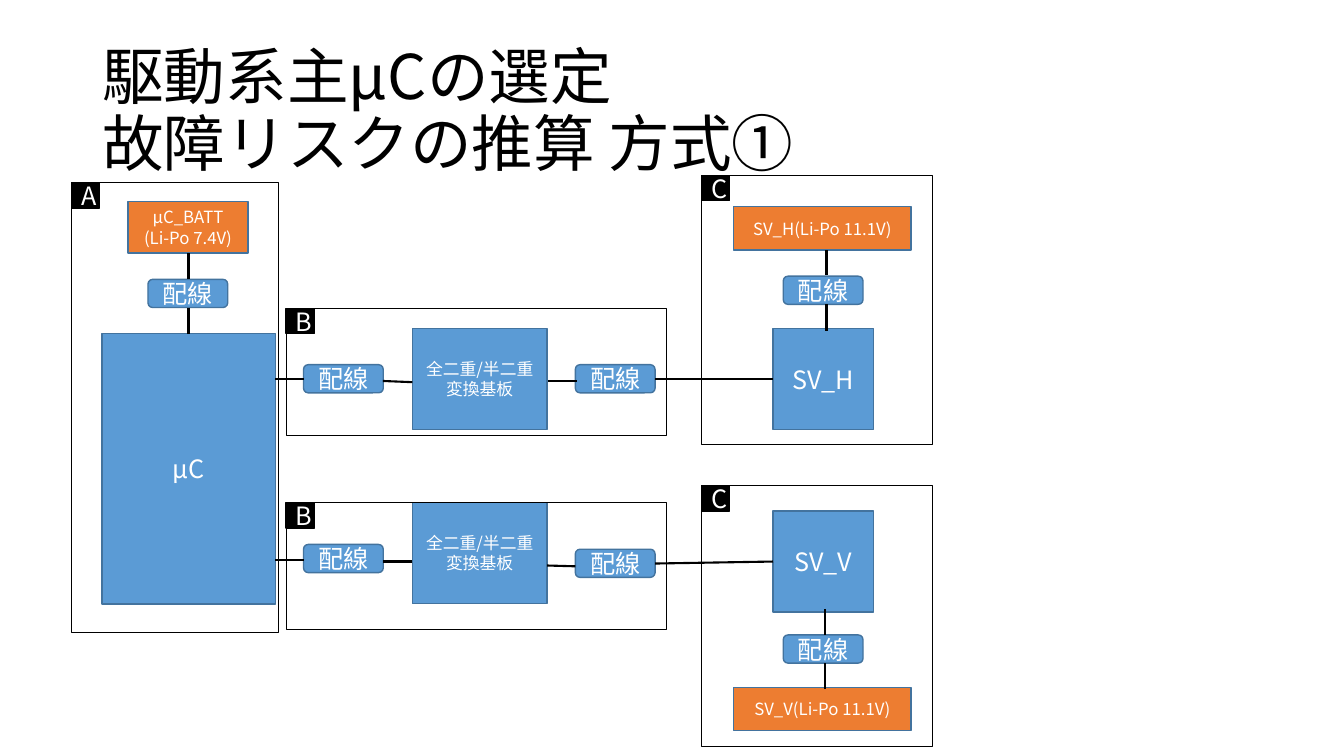
from lxml.etree import SubElement
from pptx import Presentation
from pptx.dml.color import RGBColor
from pptx.enum.shapes import MSO_CONNECTOR, MSO_SHAPE
from pptx.enum.text import MSO_ANCHOR, PP_ALIGN
from pptx.oxml.ns import qn
from pptx.util import Cm, Pt

FONT = "Noto Sans CJK JP"
BLACK = RGBColor(0x00, 0x00, 0x00)
WHITE = RGBColor(0xFF, 0xFF, 0xFF)
BLUE = RGBColor(0x5B, 0x9B, 0xD5)
EDGE = RGBColor(0x43, 0x73, 0x9E)
ORANGE = RGBColor(0xED, 0x7D, 0x31)

# All lengths are in centimetres.
TITLE = ["駆動系主μCの選定", "故障リスクの推算\u3000方式①".replace("\u3000", " ")]
CONVERTER = ["全二重/半二重", "変換基板"]
# paragraphs, left, top, width, height, fill, text size
BLOCKS = [
    (["SV_H"], 19.48, 8.28, 2.54, 2.54, BLUE, 18),
    (["SV_V"], 19.48, 12.88, 2.54, 2.54, BLUE, 18),
    (["μC"], 2.57, 8.41, 4.37, 6.81, BLUE, 18),
    (["SV_H(Li-Po 11.1V)"], 18.49, 5.21, 4.47, 1.09, ORANGE, 12),
    (["SV_V(Li-Po 11.1V)"], 18.49, 17.32, 4.47, 1.09, ORANGE, 12),
    (CONVERTER, 10.39, 8.28, 3.4, 2.54, BLUE, 12),
    (CONVERTER, 10.39, 12.67, 3.4, 2.54, BLUE, 12),
    (["μC_BATT", "(Li-Po 7.4V)"], 3.23, 5.08, 3.02, 1.3, ORANGE, 12),
]
WIRE = "配線"
WIRE_SIZE = (2.01, 0.71)
WIRES = [(3.73, 7.04), (7.65, 9.19), (7.65, 13.72), (14.5, 9.19),
         (14.5, 13.84), (19.74, 6.96), (19.74, 16)]
# x, then the top and bottom of each link
VERTICAL_LINKS = [
    (4.75, [(6.38, 7.04), (7.75, 8.41)]),
    (20.83, [(6.3, 6.93), (7.67, 8.33)]),
    (20.78, [(15.34, 16), (16.71, 17.37)]),
]
# x1, y1, x2, y2
SIDE_LINKS = [
    (7.65, 9.55, 6.93, 9.55), (10.39, 9.63, 9.65, 9.6),
    (7.65, 14.1, 6.93, 14.1), (14.53, 9.6, 13.82, 9.6),
    (19.48, 9.55, 16.51, 9.55), (10.39, 14.15, 9.65, 14.15),
    (14.5, 14.27, 13.79, 14.25), (19.48, 14.15, 16.51, 14.2),
]
TAG_SIZE = (0.71, 0.64)
# letter, left, top, width, height, grouped
ZONES = [
    ("B", 7.21, 7.77, 9.58, 3.2, True),
    ("B", 7.21, 12.67, 9.58, 3.2, True),
    ("C", 17.68, 4.42, 5.82, 6.78, False),
    ("C", 17.68, 12.24, 5.82, 6.58, False),
    ("A", 1.8, 4.6, 5.21, 11.35, False),
]


def add_run(p, text, size, color):
    r = p.add_run()
    r.text = text
    r.font.size = Pt(size)
    r.font.name = FONT
    r.font.color.rgb = color
    SubElement(r.font._element, qn("a:ea"), typeface=FONT)


def add_box(shapes, box, fill, edge, width, kind=MSO_SHAPE.RECTANGLE, lines=(), size=18):
    sp = shapes.add_shape(kind, *map(Cm, box))
    sp.shadow.inherit = False
    if fill is None:
        sp.fill.background()
    else:
        sp.fill.solid()
        sp.fill.fore_color.rgb = fill
    sp.line.color.rgb = edge
    sp.line.width = Pt(width)
    tf = sp.text_frame
    tf.word_wrap = True
    tf.vertical_anchor = MSO_ANCHOR.MIDDLE
    for i, line in enumerate(lines):
        p = tf.add_paragraph() if i else tf.paragraphs[0]
        p.alignment = PP_ALIGN.CENTER
        add_run(p, line, size, WHITE)


def add_link(shapes, *ends):
    c = shapes.add_connector(MSO_CONNECTOR.STRAIGHT, *map(Cm, ends))
    c.line.color.rgb = BLACK
    c.line.width = Pt(1.5)
    SubElement(c._element.spPr, qn("a:effectLst"))


def add_title(shapes):
    tf = shapes.add_textbox(Cm(2.33), Cm(1.01), Cm(29.21), Cm(3.68)).text_frame
    tf.word_wrap = True
    tf.vertical_anchor = MSO_ANCHOR.MIDDLE
    p = tf.paragraphs[0]
    p.line_spacing = 0.9
    for i, line in enumerate(TITLE):
        if i:
            p.add_line_break()
        add_run(p, line, 44, BLACK)


def main():
    prs = Presentation()
    prs.slide_width, prs.slide_height = Cm(33.87), Cm(19.05)
    s = prs.slides.add_slide(prs.slide_layouts[6])
    shapes = s.shapes

    add_title(shapes)
    for lines, *box, fill, size in BLOCKS:
        add_box(shapes, box, fill, EDGE, 1, lines=lines, size=size)
    for corner in WIRES:
        add_box(shapes, corner + WIRE_SIZE, BLUE, EDGE, 1,
                MSO_SHAPE.ROUNDED_RECTANGLE, [WIRE])
    for x, spans in VERTICAL_LINKS:
        for top, bottom in spans:
            add_link(shapes, x, top, x, bottom)
    for ends in SIDE_LINKS:
        add_link(shapes, *ends)
    for letter, *box, grouped in ZONES:
        holder = shapes.add_group_shape().shapes if grouped else shapes
        add_box(holder, box, None, BLACK, 0.75)
        add_box(holder, (*box[:2], *TAG_SIZE), BLACK, BLACK, 1, lines=[letter])

    prs.save("out.pptx")


if __name__ == "__main__":
    main()
